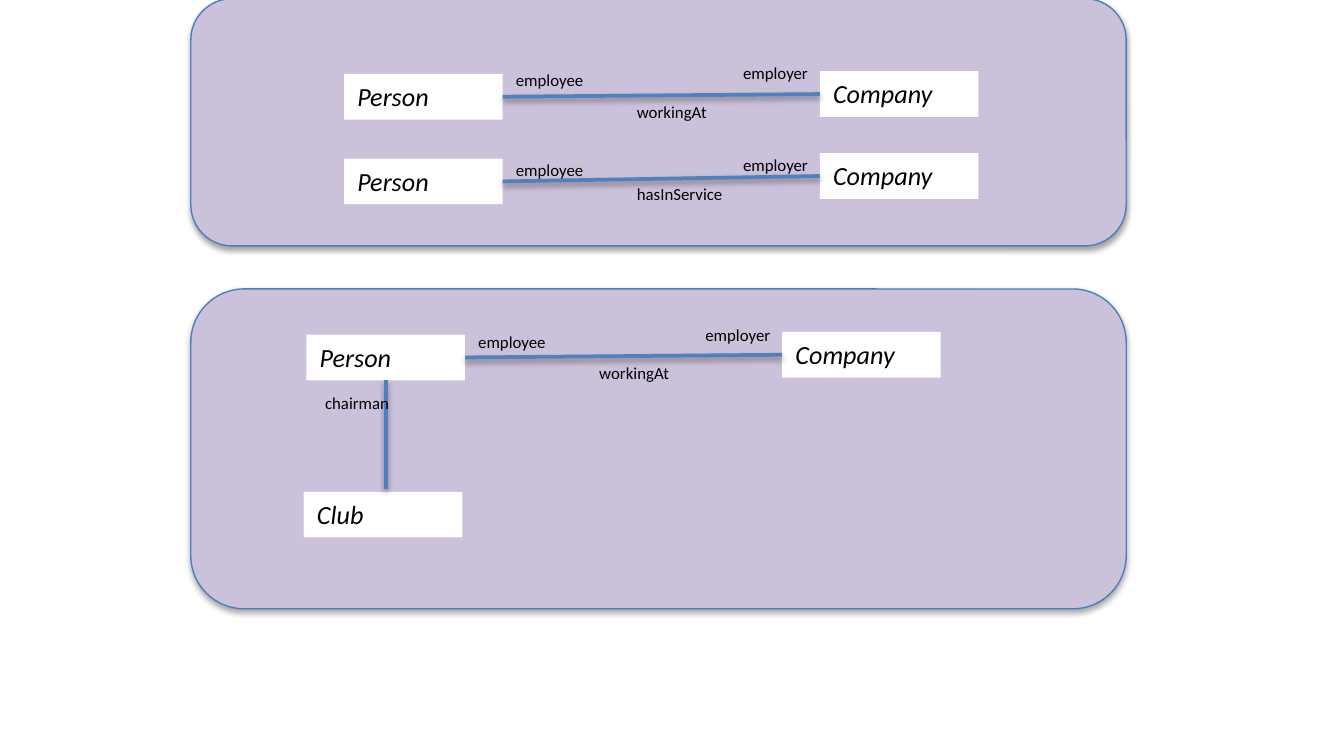
from lxml import etree
from pptx import Presentation
from pptx.dml.color import RGBColor
from pptx.enum.shapes import MSO_CONNECTOR, MSO_SHAPE
from pptx.enum.text import MSO_ANCHOR, MSO_AUTO_SIZE, PP_ALIGN
from pptx.oxml import parse_xml
from pptx.oxml.ns import nsdecls, qn
from pptx.util import Inches, Pt

STRAIGHT = MSO_CONNECTOR.STRAIGHT
RECTANGLE = MSO_SHAPE.RECTANGLE
ROUNDED = MSO_SHAPE.ROUNDED_RECTANGLE
TOP = MSO_ANCHOR.TOP
LEFT = PP_ALIGN.LEFT
GROW = MSO_AUTO_SIZE.SHAPE_TO_FIT_TEXT

LILAC = RGBColor(0xCC, 0xC1, 0xDA)
OUTLINE = RGBColor(0x4B, 0x7E, 0xBC)
BLUE = RGBColor(0x4F, 0x81, 0xBD)
WHITE = RGBColor(0xFF, 0xFF, 0xFF)
BLACK = RGBColor(0, 0, 0)

FONT = "Calibri"
PAGE_WIDTH = 10
BOX_WIDTH, BOX_HEIGHT = 1.18, 0.34
LABEL_WIDTH, LABEL_HEIGHT = 0.79, 0.25
COMPANY_OFFSET, EMPLOYER_OFFSET, NAME_OFFSET = 3.54, 2.87, 2.08


def add_shadow(effects, opacity, distance):
    """Put a soft downward shadow into an effect list."""
    effects.append(parse_xml(
        f'<a:outerShdw {nsdecls("a")} blurRad="{Pt(3.1)}" dist="{Pt(distance)}" '
        f'dir="5400000" rotWithShape="0"><a:srgbClr val="000000">'
        f'<a:alpha val="{opacity * 1000}"/></a:srgbClr></a:outerShdw>'))


def write_text(shape, text, size, italic=False):
    """Write one left-aligned line of text into a shape."""
    frame = shape.text_frame
    frame.text = text
    frame.word_wrap = True
    frame.auto_size = GROW
    frame.vertical_anchor = TOP
    para = frame.paragraphs[0]
    para.alignment = LEFT
    font = para.runs[0].font
    font.name = FONT
    font.size = Pt(size)
    font.italic = italic
    font.color.rgb = BLACK


def add_panel(page, top, height):
    """Add a rounded background panel with a shadow."""
    panel = page.shapes.add_shape(
        ROUNDED, Inches(1.42), Inches(top), Inches(6.96), Inches(height))
    panel.fill.solid()
    panel.fill.fore_color.rgb = LILAC
    panel.line.color.rgb = OUTLINE
    panel.line.width = Pt(0.75)
    panel.shadow.inherit = False
    add_shadow(panel._element.spPr.find(qn("a:effectLst")), 35, 1.8)


def add_class_box(group, text, left, top):
    """Add a white box naming a class."""
    box = group.shapes.add_shape(
        RECTANGLE, Inches(left), Inches(top), Inches(BOX_WIDTH), Inches(BOX_HEIGHT))
    box.fill.solid()
    box.fill.fore_color.rgb = WHITE
    box.line.fill.background()
    box.shadow.inherit = False
    write_text(box, text, 14, italic=True)
    return box


def add_label(group, text, left, top, width=LABEL_WIDTH):
    """Add a small role or association label."""
    label = group.shapes.add_textbox(
        Inches(left), Inches(top), Inches(width), Inches(LABEL_HEIGHT))
    write_text(label, text, 9)


def add_link(group, start, end):
    """Add a shadowed blue line between two points."""
    link = group.shapes.add_connector(
        STRAIGHT, *(Inches(value) for value in (*start, *end)))
    link.line.color.rgb = BLUE
    link.line.width = Pt(2)
    effects = etree.SubElement(link._element.spPr, qn("a:effectLst"))
    add_shadow(effects, 38, 1.6)
    return link


def add_association(group, left, person_top, company_top, employee_top,
                    employer_top, name, name_top, name_width=LABEL_WIDTH):
    """Add a Person and a Company joined by a labelled line."""
    right = left + BOX_WIDTH
    company_left = left + COMPANY_OFFSET
    middle = BOX_HEIGHT / 2
    person = add_class_box(group, "Person", left, person_top)
    company = add_class_box(group, "Company", company_left, company_top)
    link = add_link(group, (right, person_top + middle),
                    (company_left, company_top + middle))
    link.begin_connect(person, 3)
    link.end_connect(company, 1)
    add_label(group, "employee", right, employee_top)
    add_label(group, "employer", left + EMPLOYER_OFFSET, employer_top)
    add_label(group, name, left + NAME_OFFSET, name_top, name_width)
    return person


def add_chairman(group, person):
    """Add the Club below a Person with the chairman line."""
    add_class_box(group, "Club", 2.26, 3.66)
    link = add_link(group, (2.87, 2.83), (2.87, 3.64))
    link.begin_connect(person, 2)
    add_label(group, "chairman", 2.32, 2.87)


def main():
    """Build the slide and save it."""
    deck = Presentation()
    deck.slide_width = Inches(PAGE_WIDTH)
    deck.slide_height = Inches(PAGE_WIDTH * 9 / 16)
    page = deck.slides.add_slide(deck.slide_layouts[6])

    add_panel(page, -0.01, 1.84)
    group = page.shapes.add_group_shape()
    add_association(group, 2.56, 0.55, 0.53, 0.47, 0.42, "workingAt", 0.71)
    add_association(group, 2.56, 1.18, 1.14, 1.14, 1.1, "hasInService", 1.32, 0.91)

    add_panel(page, 2.15, 2.38)
    group = page.shapes.add_group_shape()
    person = add_association(group, 2.28, 2.49, 2.47, 2.42, 2.37, "workingAt", 2.65)
    add_chairman(group, person)

    deck.save("out.pptx")


if __name__ == "__main__":
    main()
